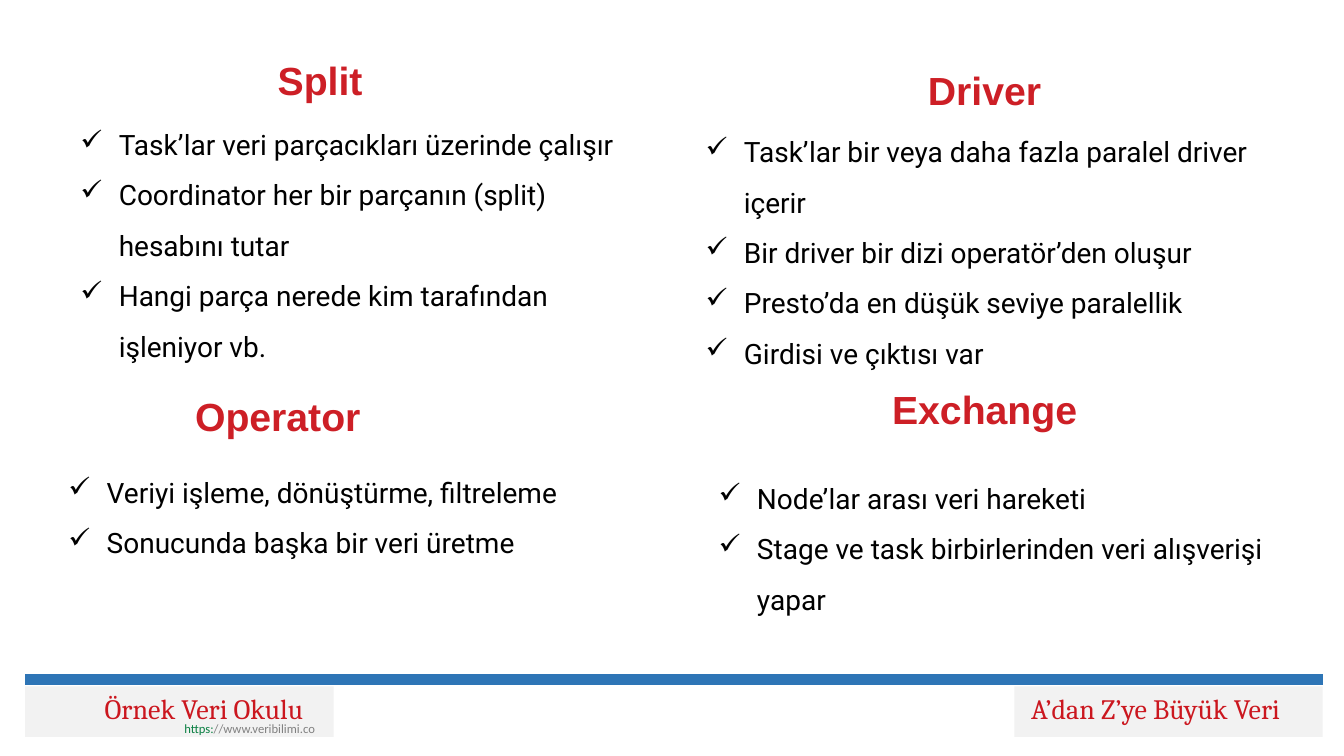
"""Build a slide with four titled check lists and a footer."""
from dataclasses import dataclass

from lxml.etree import SubElement
from pptx import Presentation
from pptx.dml.color import RGBColor
from pptx.enum.shapes import MSO_CONNECTOR, MSO_SHAPE
from pptx.enum.text import MSO_ANCHOR, MSO_AUTO_SIZE, PP_ALIGN
from pptx.oxml.ns import qn
from pptx.slide import Slide
from pptx.text.text import TextFrame, _Paragraph
from pptx.util import Inches, Pt

Box = tuple[float, float, float, float]


@dataclass
class Style:
    font: str
    size: float
    color: str
    bold: bool = False


@dataclass
class Topic:
    title: str
    head: Box
    body: Box
    items: list[str]


@dataclass
class Label:
    left: float
    text: str
    box: Box


RED, GRAY, BLUE = "CB171F", "F2F2F2", "2E75B6"
HEAD = Style("Arial", 28, "CD1F26", True)
BODY = Style("Roboto", 20, "000000")
FOOT = Style("Cambria", 20, RED)
LINK = [("https:", Style("Calibri", 9, "0B8043")),
        ("//www.veribilimi.co", Style("Calibri", 9, "808080"))]

TOPICS = [
    Topic("Split", (0.62, 0.5, 5.11, 0.58), (0.2, 1.05, 6.2, 2.63), [
        "Task’lar veri parçacıkları üzerinde çalışır",
        "Coordinator her bir parçanın (split) hesabını tutar",
        "Hangi parça nerede kim tarafından işleniyor vb."]),
    Topic("Driver", (7.21, 0.6, 5.11, 0.58), (6.4, 1.12, 6.73, 2.63), [
        "Task’lar bir veya daha fazla paralel driver içerir",
        "Bir driver bir dizi operatör’den oluşur",
        "Presto’da en düşük seviye paralellik",
        "Girdisi ve çıktısı var"]),
    Topic("Operator", (0.2, 3.83, 5.11, 0.58), (0.08, 4.5, 6.2, 1.11), [
        "Veriyi işleme, dönüştürme, filtreleme",
        "Sonucunda başka bir veri üretme"]),
    Topic("Exchange", (7.21, 3.76, 5.11, 0.58), (6.53, 4.56, 6.2, 1.62), [
        "Node’lar arası veri hareketi",
        "Stage ve task birbirlerinden veri alışverişi yapar"]),
]
LABELS = [
    Label(0.25, "Örnek Veri Okulu", (0.94, 6.89, 2.34, 0.36)),
    Label(10.06, "A’dan Z’ye Büyük Veri", (10.13, 6.89, 2.93, 0.36)),
]


def paint(code: str) -> RGBColor:
    """Turn a hex string into a colour."""
    return RGBColor.from_string(code)


def add_run(para: _Paragraph, text: str, style: Style) -> None:
    """Add one styled run."""
    run = para.add_run()
    run.text = text
    run.font.name = style.font
    run.font.size = Pt(style.size)
    run.font.bold = style.bold
    run.font.color.rgb = paint(style.color)


def add_box(slide: Slide, box: Box) -> TextFrame:
    """Add a wrapping text box."""
    frame = slide.shapes.add_textbox(*map(Inches, box)).text_frame
    frame.word_wrap = True
    return frame


def add_title(slide: Slide, box: Box, text: str, style: Style,
              align: PP_ALIGN) -> None:
    """Add one bottom-set line of text."""
    frame = add_box(slide, box)
    frame.vertical_anchor = MSO_ANCHOR.BOTTOM
    para = frame.paragraphs[0]
    para.alignment = align
    para.line_spacing = 0.9
    add_run(para, text, style)


def add_list(slide: Slide, box: Box, items: list[str]) -> None:
    """Add a list with check marks."""
    frame = add_box(slide, box)
    frame.auto_size = MSO_AUTO_SIZE.SHAPE_TO_FIT_TEXT
    for num, item in enumerate(items):
        para = frame.add_paragraph() if num else frame.paragraphs[0]
        para.level = 1
        para.line_spacing = 1.5
        props = para._p.get_or_add_pPr()
        props.set("marL", str(Inches(0.88)))
        props.set("indent", str(Inches(-0.38)))
        SubElement(props, qn("a:buChar")).set("char", "✓")
        add_run(para, item, BODY)


def add_label(slide: Slide, label: Label) -> None:
    """Add a footer panel and its text."""
    place = map(Inches, (label.left, 6.81, 3.06, 0.5))
    panel = slide.shapes.add_shape(MSO_SHAPE.RECTANGLE, *place)
    panel.shadow.inherit = False
    panel.fill.solid()
    panel.fill.fore_color.rgb = paint(GRAY)
    panel.line.fill.background()
    add_title(slide, label.box, label.text, FOOT, PP_ALIGN.LEFT)


def add_rule(slide: Slide) -> None:
    """Add the blue line above the footer."""
    ends = map(Inches, (0.25, 6.74, 13.12, 6.74))
    rule = slide.shapes.add_connector(MSO_CONNECTOR.STRAIGHT, *ends)
    rule.line.color.rgb = paint(BLUE)
    rule.line.width = Pt(8)
    SubElement(rule._element.spPr, qn("a:effectLst"))


def main() -> None:
    """Draw and save the slide."""
    deck = Presentation()
    deck.slide_width, deck.slide_height = Inches(13.33), Inches(7.5)
    slide = deck.slides.add_slide(deck.slide_layouts[6])
    add_rule(slide)
    for label in LABELS:
        add_label(slide, label)
    link = add_box(slide, (1.73, 7.1, 1.85, 0.25))
    link.auto_size = MSO_AUTO_SIZE.SHAPE_TO_FIT_TEXT
    for text, style in LINK:
        add_run(link.paragraphs[0], text, style)
    for topic in TOPICS:
        add_title(slide, topic.head, topic.title, HEAD, PP_ALIGN.CENTER)
        add_list(slide, topic.body, topic.items)
    deck.save("out.pptx")


if __name__ == "__main__":
    main()
